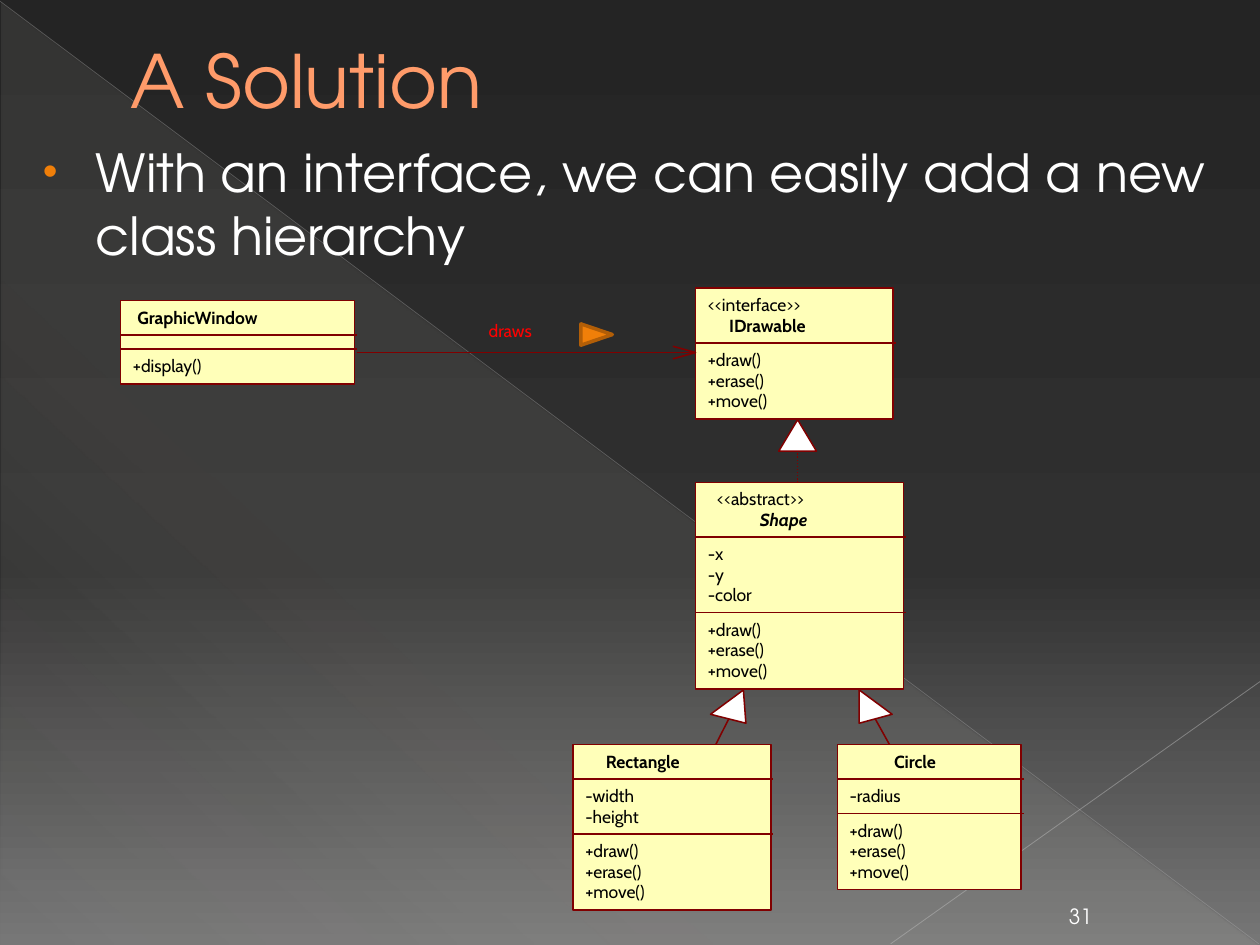
from dataclasses import dataclass

from lxml import etree
from pptx import Presentation
from pptx import util as u
from pptx.dml.color import RGBColor
from pptx.enum import dml, shapes, text
from pptx.oxml.ns import qn


@dataclass(frozen=True)
class Theme:
    """Colours, fonts and type sizes of the slide."""
    backdrop: tuple = ((0, "242424", 100), (60, "303030", 100), (100, "767676", 100))
    sheen: tuple = ((0, "E3DED1", 10), (70, "E3DED1", 8), (100, "E3DED1", 1))
    title: str = "FF9B6A"
    title_edge: str = "A65806"
    light: str = "FFFFFF"
    ink: str = "000000"
    accent: str = "F07F09"
    accent_edge: str = "B25E07"
    class_fill: str = "FFFFB9"
    class_line: str = "800000"
    label: str = "FF0000"
    heading_font: str = "TeX Gyre Adventor"
    diagram_font: str = "Cabin"
    title_size: float = 42
    body_size: float = 30
    number_size: float = 12
    diagram_size: float = 10
    stroke: float = 0.88


def add_node(parent, tag, **attributes):
    """Append an XML child and return it."""
    node = etree.SubElement(parent, qn(tag))
    for name, value in attributes.items():
        node.set(name, str(value))
    return node


class SlideWriter:
    """Draws styled elements on one slide, with lengths in points."""
    ROW, PAD, LETTER = 11.7, 8, 8.2

    def __init__(self, page, theme):
        """Keep the slide and its style."""
        self.page, self.theme = page, theme

    def gradient(self, fill, owner, stops, angle):
        """Give a fill a linear gradient of (position, colour, opacity) stops."""
        fill.gradient()
        grad = owner.find(".//" + qn("a:gradFill"))
        stop_list = grad.find(qn("a:gsLst"))
        for stop in list(stop_list):
            stop_list.remove(stop)
        for position, color, opacity in stops:
            stop = add_node(stop_list, "a:gs", pos=position * 1000)
            tone = add_node(stop, "a:srgbClr", val=color)
            add_node(tone, "a:alpha", val=opacity * 1000)
        grad.find(qn("a:lin")).set("ang", str(angle * 60000))

    def format(self, para, font, size, color, bold=False, italic=False):
        """Format every run of a paragraph."""
        for span in para.runs:
            span.font.name, span.font.size = font, u.Pt(size)
            span.font.bold, span.font.italic = bold, italic
            span.font.color.rgb = RGBColor.from_string(color)

    def paint(self, shape, fill, line, width):
        """Set fill and outline; a fill of None leaves the shape open."""
        shape.shadow.inherit = False
        if fill:
            shape.fill.solid()
            shape.fill.fore_color.rgb = RGBColor.from_string(fill)
        else:
            shape.fill.background()
        shape.line.color.rgb = RGBColor.from_string(line)
        shape.line.width = u.Pt(width)

    def shape(self, kind, frame, fill=None, line="000000", width=1):
        """Add a preset shape."""
        shape = self.page.shapes.add_shape(kind, *map(u.Pt, frame))
        self.paint(shape, fill, line, width)
        return shape

    def polygon(self, points, fill=None, close=True):
        """Add a diagram outline through the points."""
        start, *rest = [tuple(map(u.Pt, point)) for point in points]
        builder = self.page.shapes.build_freeform(*start, scale=1.0)
        builder.add_line_segments(rest, close=close)
        self.paint(builder.convert_to_shape(), fill, self.theme.class_line, self.theme.stroke)

    def line(self, start, end, color=None, width=None, opacity=100, dash=None):
        """Add a straight connector."""
        line = self.page.shapes.add_connector(
            shapes.MSO_CONNECTOR.STRAIGHT, *map(u.Pt, (*start, *end)))
        line.line.color.rgb = RGBColor.from_string(color or self.theme.class_line)
        line.line.width = u.Pt(width or self.theme.stroke)
        if dash:
            line.line.dash_style = dash
        if opacity < 100:
            tone = line.element.spPr.find(".//" + qn("a:srgbClr"))
            add_node(tone, "a:alpha", val=opacity * 1000)
        add_node(line.element.spPr, "a:effectLst")

    def label(self, left, top, words, color=None, **style):
        """Add one line of diagram text, in a box as wide as its words need."""
        width = len(words) * self.LETTER
        box = self.page.shapes.add_textbox(*map(u.Pt, (left, top, width, 13.7)))
        frame = box.text_frame
        frame.margin_left = frame.margin_top = frame.margin_right = frame.margin_bottom = 0
        frame.word_wrap = False
        frame.text = words
        self.format(frame.paragraphs[0], self.theme.diagram_font,
                    self.theme.diagram_size, color or self.theme.ink, **style)

    def class_box(self, left, top, width, names, *sections):
        """Add a class box; names are (indent, words, style), sections hold members."""
        members = [[(7, words, {}) for words in section] for section in sections]
        compartments = [names, *members]
        height = sum(len(rows) * self.ROW + self.PAD for rows in compartments) + 0.4
        self.shape(shapes.MSO_SHAPE.RECTANGLE, (left, top, width, height),
                   self.theme.class_fill, self.theme.class_line, self.theme.stroke)
        for index, rows in enumerate(compartments):
            if index:
                self.line((left, top), (left + width + 1.4, top))
            for row, (indent, words, style) in enumerate(rows):
                self.label(left + indent, top + 3.5 + row * self.ROW, words, **style)
            top += len(rows) * self.ROW + self.PAD

    def placeholder(self, index, frame, words, size, color, anchor):
        """Fill a template placeholder, move it forward and return its paragraph."""
        box = self.page.placeholders[index]
        self.page.shapes.element.append(box.element)
        box.left, box.top, box.width, box.height = map(u.Pt, frame)
        box.text_frame.text = words
        box.text_frame.auto_size = text.MSO_AUTO_SIZE.NONE
        box.text_frame.vertical_anchor = anchor
        para = box.text_frame.paragraphs[0]
        para.alignment = text.PP_ALIGN.LEFT
        self.format(para, self.theme.heading_font, size, color)
        return para

    def title(self, frame, words):
        """Fill the title with outlined letters."""
        para = self.placeholder(0, frame, words, self.theme.title_size,
                                self.theme.title, text.MSO_ANCHOR.MIDDLE)
        para._p.get_or_add_pPr().set("marL", str(u.Pt(38)))
        style = para.runs[0].font._element
        edge = add_node(style, "a:ln", w=u.Pt(0.5))
        add_node(add_node(edge, "a:solidFill"), "a:srgbClr", val=self.theme.title_edge)
        style.insert(0, edge)

    def body(self, frame, words):
        """Fill the body with one bulleted paragraph."""
        para = self.placeholder(1, frame, words, self.theme.body_size,
                                self.theme.light, text.MSO_ANCHOR.TOP)
        props = para._p.get_or_add_pPr()
        props.set("marL", str(u.Pt(35.3)))
        props.set("indent", str(-u.Pt(30.2)))
        add_node(add_node(props, "a:buClr"), "a:srgbClr", val=self.theme.accent)
        add_node(props, "a:buSzPct", val=80000)
        add_node(props, "a:buFont", typeface="Arial")
        add_node(props, "a:buChar", char="•")

    def page_number(self, frame, words):
        """Add the page number."""
        box = self.page.shapes.add_textbox(*map(u.Pt, frame))
        box.text_frame.word_wrap = True
        box.text_frame.text = words
        box.text_frame.vertical_anchor = text.MSO_ANCHOR.BOTTOM
        para = box.text_frame.paragraphs[0]
        para.alignment = text.PP_ALIGN.CENTER
        self.format(para, self.theme.heading_font, self.theme.number_size, self.theme.light)


def draw_backdrop(writer):
    """Draw the gradient background and its diagonal lines."""
    page, theme = writer.page, writer.theme
    writer.gradient(page.background.fill, page.element, theme.backdrop, 90)
    sheen = writer.shape(shapes.MSO_SHAPE.RIGHT_TRIANGLE, (0.7, 1.4, 718.6, 538.6))
    sheen.line.fill.background()
    writer.gradient(sheen.fill, sheen.element, theme.sheen, 133)
    writer.line((0, 0.7), (719.3, 539.3), "B6B6B6", 0.39, 35)
    writer.line((720, 389.5), (509, 539.3), "BFBFBF", 0.47, 45)


def draw_diagram(writer):
    """Draw the class boxes and their relations."""
    theme, bold = writer.theme, {"bold": True}
    methods = ("+draw()", "+erase()", "+move()")
    marker = writer.shape(shapes.MSO_SHAPE.ISOSCELES_TRIANGLE, (334.8, 182.2, 12.2, 18),
                          theme.accent, theme.accent_edge, 2)
    marker.rotation = 90
    writer.class_box(69, 171.8, 133.5, [(9.5, "GraphicWindow", bold)], (), ("+display()",))
    writer.class_box(397.5, 275.6, 118.8, [
        (12.2, "<<abstract>>", {}), (36.7, "Shape", {"bold": True, "italic": True})],
        ("-x", "-y", "-color"), methods)
    writer.class_box(327.5, 425.5, 113, [(18.7, "Rectangle", bold)],
                     ("-width", "-height"), methods)
    writer.class_box(478.5, 425.5, 105, [(32.4, "Circle", bold)], ("-radius",), methods)
    writer.class_box(397.5, 164.7, 113, [
        (7, "<<interface>>", {}), (19.2, "IDrawable", bold)], methods)
    dots = dml.MSO_LINE.ROUND_DOT
    for start, tip, corners, dash in (
            ((409, 425.5), (424.8, 394.3), ((426.2, 413.3), (406, 408.2)), None),
            ((508.3, 425.5), (491, 394.3), ((509.8, 408.2), (491, 413.3)), None),
            ((455.8, 275.8), (455.8, 239.8), ((466.6, 257.8), (445, 257.8)), dots)):
        writer.line(start, tip, dash=dash)
        writer.polygon((tip, *corners), theme.light)
    writer.line((203.8, 201.5), (397.5, 201.5))
    writer.polygon(((384.5, 205.1), (397.5, 201.5), (384.5, 197.9)), close=False)
    writer.label(279.2, 182.6, "draws", theme.label)


deck = Presentation()
deck.slide_width, deck.slide_height = u.Pt(720), u.Pt(540)
writer = SlideWriter(deck.slides.add_slide(deck.slide_layouts[1]), Theme())
draw_backdrop(writer)
writer.title((29.5, 0, 648, 90), "A Solution")
writer.body((12.2, 76.3, 684, 345.6),
            "With an interface, we can easily add a new class hierarchy")
writer.page_number((597.6, 510.5, 39.6, 23.8), "31")
draw_diagram(writer)
deck.save("out.pptx")
